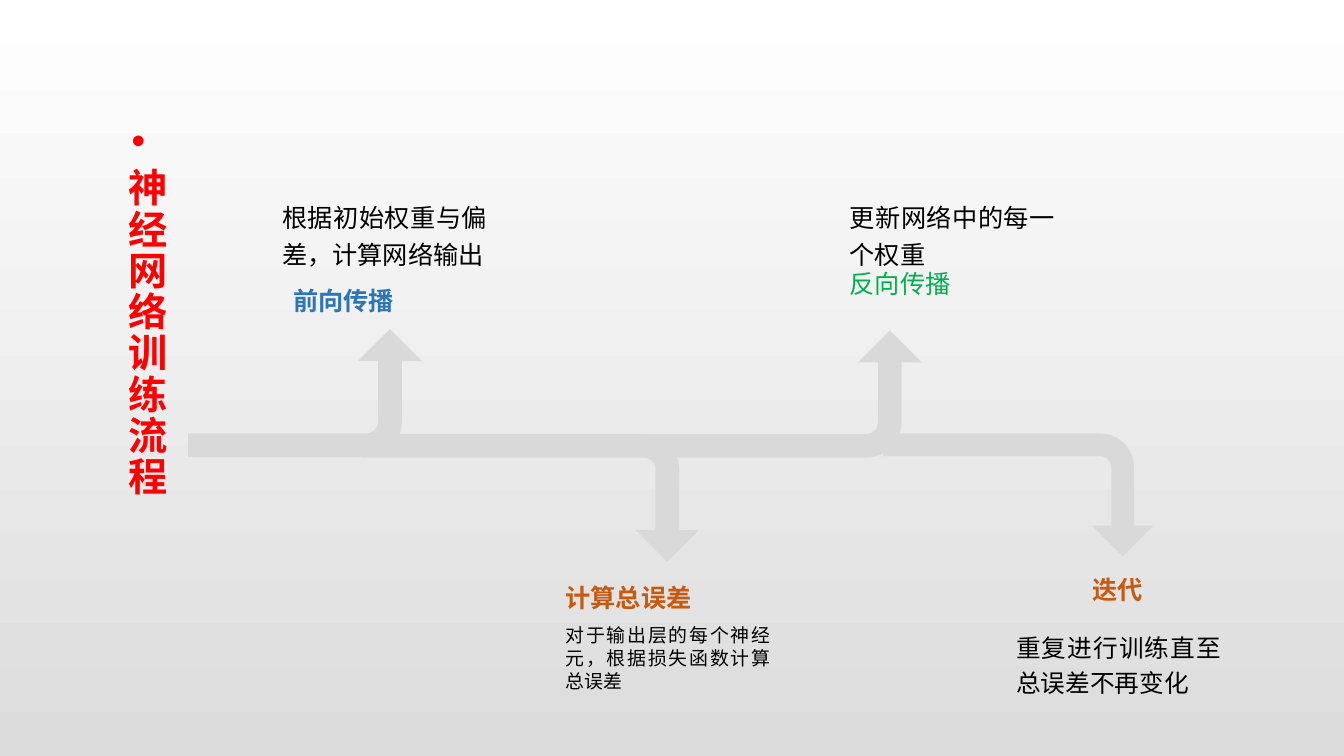
from pptx import Presentation
from pptx.dml.color import RGBColor
from pptx.enum.lang import MSO_LANGUAGE_ID
from pptx.enum.shapes import MSO_SHAPE
from pptx.enum.text import MSO_ANCHOR, PP_ALIGN
from pptx.oxml.ns import qn
from pptx.util import Inches, Pt
from lxml import etree

JUSTIFY, RIGHT = PP_ALIGN.JUSTIFY, PP_ALIGN.RIGHT
TOP, MIDDLE, BOTTOM = MSO_ANCHOR.TOP, MSO_ANCHOR.MIDDLE, MSO_ANCHOR.BOTTOM
BENT_ARROW = MSO_SHAPE.BENT_ARROW
CHINESE = MSO_LANGUAGE_ID.SIMPLIFIED_CHINESE
BLACK, ORANGE, BLUE, GREEN = "000000", "C55A11", "2E75B6", "00B050"


def rgb(color):
    return RGBColor.from_string(color)


def add_text(page, place, text, size, color, font="Arial", bold=False,
             anchor=TOP, align=JUSTIFY, line_spacing=1.2):
    box = page.shapes.add_textbox(*[Inches(length) for length in place])
    frame = box.text_frame
    frame.word_wrap = True
    frame.vertical_anchor = anchor
    para = frame.paragraphs[0]
    para.alignment = align
    para.line_spacing = line_spacing
    span = para.add_run()
    span.text = text
    span.font.size = Pt(size)
    span.font.name = font
    span.font.bold = bold
    span.font.color.rgb = rgb(color)
    span.font.language_id = CHINESE
    return box


deck = Presentation()
deck.slide_width, deck.slide_height = Inches(13.33), Inches(7.5)
page = deck.slides.add_slide(deck.slide_layouts[6])

# Background: white at the top to grey at the bottom
background = page.background.fill
background.gradient()
background.gradient_angle = 270
for stop, (position, color) in zip(background.gradient_stops,
                                   [(0, "FFFFFF"), (1, "DCDCDC")]):
    stop.position = position
    stop.color.rgb = rgb(color)

# Vertical title with a bullet
title = add_text(page, (0.96, 1.42, 1.43, 5.51), "神经网络训练流程", 28, "FF0000",
                 bold=True, line_spacing=2.3)
frame = title.text_frame
frame.margin_left, frame.margin_right = Inches(0.11), Inches(0.09)
frame.margin_top = frame.margin_bottom = 0
frame.paragraphs[0].space_after = Pt(10)
title.element.txBody.find(qn("a:bodyPr")).set("vert", "eaVert")
properties = frame.paragraphs[0]._p.get_or_add_pPr()
properties.set("marL", str(Inches(0.25)))
properties.set("indent", str(-Inches(0.25)))
etree.SubElement(properties, qn("a:buFont")).set("typeface", "Arial")
etree.SubElement(properties, qn("a:buChar")).set("char", "•")
frame.paragraphs[0].runs[0].font._element.set("spc", "150")

# Arrows along the process line: place before rotation, points up or down
arrows = [
    ((9.49, 3.57, 1.22, 2.68), False),
    ((2.39, 2.74, 1.27, 2.32), True),
    ((4.63, 3.27, 1.27, 3.34), False),
    ((7.15, 2.55, 1.26, 2.72), True),
]
for place, points_up in arrows:
    arrow = page.shapes.add_shape(BENT_ARROW, *[Inches(length) for length in place])
    for index, value in enumerate((0.185, 0.25, 0.25, 0.276)):
        arrow.adjustments[index] = value
    arrow.rotation = 270 if points_up else 90
    if points_up:
        arrow.element.spPr.find(qn("a:xfrm")).set("flipV", "1")
    arrow.fill.solid()
    arrow.fill.fore_color.rgb = rgb("D9D9D9")
    arrow.line.fill.background()
    arrow.shadow.inherit = False

# Step names
add_text(page, (2.81, 2.72, 2.12, 0.46), "前向传播", 18, BLUE, "Calibri", True, MIDDLE)
add_text(page, (5.51, 5.67, 2.23, 0.46), "计算总误差", 18, ORANGE, "Calibri", True, MIDDLE)
add_text(page, (8.33, 2.55, 2.23, 0.46), "反向传播", 18, GREEN, anchor=MIDDLE)
add_text(page, (10.24, 5.59, 1.19, 0.46), "迭代", 18, ORANGE, "Calibri", True, MIDDLE, RIGHT)

# Step descriptions
add_text(page, (2.7, 1.89, 2.23, 0.83), "根据初始权重与偏差，计算网络输出", 18, BLACK,
         anchor=BOTTOM)
add_text(page, (5.51, 6.14, 2.23, 0.79), "对于输出层的每个神经元，根据损失函数计算总误差",
         13.5, BLACK, line_spacing=1.0)
add_text(page, (8.33, 1.89, 2.23, 0.83), "更新网络中的每一个权重", 18, BLACK, anchor=BOTTOM)
add_text(page, (9.98, 6.17, 2.23, 0.79), "重复进行训练直至总误差不再变化", 17.6, BLACK)

deck.save("out.pptx")
